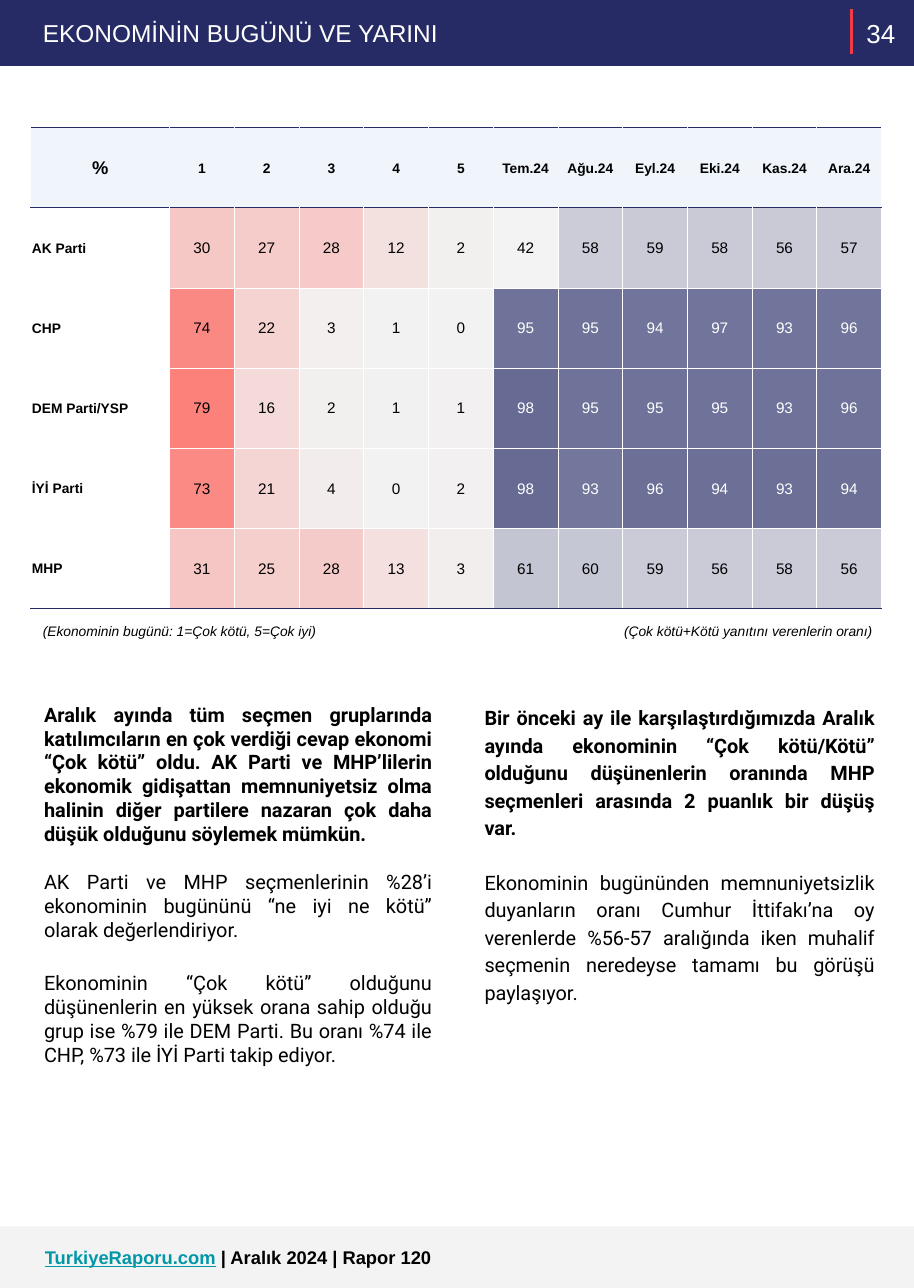
from dataclasses import dataclass
from typing import NamedTuple

from lxml import etree
from pptx import Presentation
from pptx.dml.color import RGBColor
from pptx.enum.shapes import MSO_CONNECTOR, MSO_SHAPE
from pptx.enum.text import MSO_ANCHOR, MSO_AUTO_SIZE, PP_ALIGN
from pptx.oxml.ns import qn
from pptx.util import Inches, Pt

LEFT, CENTER, RIGHT, JUSTIFY = PP_ALIGN.LEFT, PP_ALIGN.CENTER, PP_ALIGN.RIGHT, PP_ALIGN.JUSTIFY
TOP, MIDDLE = MSO_ANCHOR.TOP, MSO_ANCHOR.MIDDLE
NO_AUTOFIT = MSO_AUTO_SIZE.NONE
RECTANGLE, STRAIGHT = MSO_SHAPE.RECTANGLE, MSO_CONNECTOR.STRAIGHT
TWO_CONTENT_LAYOUT = 3
SLIDE_WIDTH, SLIDE_HEIGHT = 8.3, 11.7


@dataclass(frozen=True)
class Theme:
    sans: str = "Arial"
    body_font: str = "Roboto"
    navy: str = "262B65"
    red: str = "EF3B45"
    teal: str = "0097A7"
    white: str = "FFFFFF"
    black: str = "000000"
    footer_grey: str = "F3F3F3"
    header_tint: str = "EFF5FB"
    title_size: int = 16
    number_size: int = 17
    body_size: int = 13
    large_size: int = 12
    value_size: int = 10
    small_size: int = 9
    heat: tuple[str, ...] = (
        "F5C8C5 F5CCC9 F5CAC8 F3E1E0 F2EFEF F3F3F3 CBCCD8 C9CAD6 C9CAD6 C9CAD6 C9CAD6",
        "FB8983 F4D3D1 F2EFEE F2F2F2 F2F2F2 6F7299 6F7299 72759B 72759B 72759B 72759B",
        "FC817A F4DBDA F2EFEF F2F1F1 F2F0F0 676A93 6F7299 6F7299 6F7299 6F7299 6F7299",
        "FB8A84 F4D5D3 F2EDEC F2F2F2 F2F0F0 676A93 74779C 6C6F96 6C6F96 6C6F96 6C6F96",
        "F5C6C3 F5CFCC F5CBC9 F3E0DF F2EEEE C4C5D3 C6C7D5 CACBD7 CACBD7 CACBD7 CACBD7",
    )


THEME = Theme()


class Box(NamedTuple):
    left: float
    top: float
    width: float
    height: float

    def lengths(self):
        return [Inches(side) for side in self]


class PartyRow(NamedTuple):
    party: str
    values: tuple[int, ...]


class Passage(NamedTuple):
    text: str
    bold: bool = False
    space_before: float = 0


class Column(NamedTuple):
    box: Box
    line_spacing: float
    passages: tuple[Passage, ...]


class Note(NamedTuple):
    text: str
    left: float
    align: PP_ALIGN


HEADINGS = ("%", "1", "2", "3", "4", "5",
            "Tem.24", "Ağu.24", "Eyl.24", "Eki.24", "Kas.24", "Ara.24")
PARTIES = (
    PartyRow("AK Parti", (30, 27, 28, 12, 2, 42, 58, 59, 58, 56, 57)),
    PartyRow("CHP", (74, 22, 3, 1, 0, 95, 95, 94, 97, 93, 96)),
    PartyRow("DEM Parti/YSP", (79, 16, 2, 1, 1, 98, 95, 95, 95, 93, 96)),
    PartyRow("İYİ Parti", (73, 21, 4, 0, 2, 98, 93, 96, 94, 93, 94)),
    PartyRow("MHP", (31, 25, 28, 13, 3, 61, 60, 59, 56, 58, 56)),
)
TABLE_BOX = Box(0.28, 1.16, 7.73, 4.37)
PARTY_WIDTH = 1.26
WHITE_TEXT_FROM = 90

NOTES = (
    Note("(Çok kötü+Kötü yanıtını verenlerin oranı)", 3.41, RIGHT),
    Note("(Ekonominin bugünü: 1=Çok kötü, 5=Çok iyi)", 0.29, LEFT),
)
COLUMNS = (
    Column(Box(0.3, 6.28, 3.72, 4.24), 1.0, (
        Passage("Aralık ayında tüm seçmen gruplarında katılımcıların en çok verdiği cevap ekonomi "
                "“Çok kötü” oldu. AK Parti ve MHP’lilerin ekonomik gidişattan memnuniyetsiz olma "
                "halinin diğer partilere nazaran çok daha düşük olduğunu söylemek mümkün.", True),
        Passage("AK Parti ve MHP seçmenlerinin %28’i ekonominin bugününü “ne iyi ne kötü” "
                "olarak değerlendiriyor.", space_before=15.6),
        Passage("Ekonominin “Çok kötü” olduğunu düşünenlerin en yüksek orana sahip olduğu grup "
                "ise %79 ile DEM Parti. Bu oranı %74 ile CHP, %73 ile İYİ Parti takip ediyor.",
                space_before=19.5),
    )),
    Column(Box(4.3, 6.28, 3.74, 2.72), 1.15, (
        Passage("Bir önceki ay ile karşılaştırdığımızda Aralık ayında ekonominin “Çok kötü/Kötü” "
                "olduğunu düşünenlerin oranında MHP seçmenleri arasında 2 puanlık bir düşüş var.",
                True),
        Passage("Ekonominin bugününden memnuniyetsizlik duyanların oranı Cumhur İttifakı’na oy "
                "verenlerde %56-57 aralığında iken muhalif seçmenin neredeyse tamamı bu görüşü "
                "paylaşıyor.", space_before=18),
    )),
)


def write(paragraph, text: str, *, size: float, color: str = THEME.black, font: str = THEME.sans,
          bold: bool = False, italic: bool = False, underline: bool = False,
          align: PP_ALIGN = LEFT) -> None:
    """Append a formatted run to the paragraph."""
    paragraph.alignment = align
    run = paragraph.add_run()
    run.text = text
    run.font.name, run.font.size = font, Pt(size)
    run.font.bold, run.font.italic, run.font.underline = bold, italic, underline
    run.font.color.rgb = RGBColor.from_string(color)


def set_frame(shape, box: Box, anchor: MSO_ANCHOR = TOP):
    shape.left, shape.top, shape.width, shape.height = box.lengths()
    frame = shape.text_frame
    frame.word_wrap, frame.auto_size, frame.vertical_anchor = True, NO_AUTOFIT, anchor
    frame.margin_left = frame.margin_right = frame.margin_top = frame.margin_bottom = Inches(0.1)
    return frame


def add_text(slide, box: Box, anchor: MSO_ANCHOR = TOP):
    """Add a text box and return its first paragraph."""
    return set_frame(slide.shapes.add_textbox(*box.lengths()), box, anchor).paragraphs[0]


def add_band(slide, box: Box, color: str):
    band = slide.shapes.add_shape(RECTANGLE, *box.lengths())
    band.shadow.inherit = False
    band.fill.solid()
    band.fill.fore_color.rgb = RGBColor.from_string(color)
    band.line.fill.background()
    return band


def add_header(slide) -> None:
    title = slide.shapes.title
    title.element.addprevious(add_band(slide, Box(0, 0, SLIDE_WIDTH, 0.6), THEME.navy).element)
    write(set_frame(title, Box(0.29, 0.06, 6.45, 0.47)).paragraphs[0],
          "EKONOMİNİN BUGÜNÜ VE YARINI", size=THEME.title_size, color=THEME.white)
    divider = slide.shapes.add_connector(
        STRAIGHT, Inches(7.73), Inches(0.08), Inches(7.73), Inches(0.49))
    divider.line.color.rgb = RGBColor.from_string(THEME.red)
    divider.line.width = Pt(2.25)
    etree.SubElement(divider.element.spPr, qn("a:effectLst"))
    write(add_text(slide, Box(7.73, -0.15, 0.54, 0.9), MIDDLE), "34",
          size=THEME.number_size, color=THEME.white, align=CENTER)


def add_footer(slide) -> None:
    add_band(slide, Box(0, 11.14, SLIDE_WIDTH, SLIDE_HEIGHT - 11.14), THEME.footer_grey)
    imprint = add_text(slide, Box(0.31, 11.22, 6.96, 0.4))
    write(imprint, "TurkiyeRaporu.com", size=THEME.large_size, color=THEME.teal,
          bold=True, underline=True)
    write(imprint, " | Aralık 2024 | Rapor 120", size=THEME.large_size, bold=True)


def fill_column(placeholder, column: Column) -> None:
    frame = set_frame(placeholder, column.box)
    for index, passage in enumerate(column.passages):
        paragraph = frame.add_paragraph() if index else frame.paragraphs[0]
        properties = paragraph._p.get_or_add_pPr()
        properties.set("marL", "0")
        properties.set("indent", "0")
        etree.SubElement(properties, qn("a:buNone"))
        paragraph.line_spacing = column.line_spacing
        paragraph.space_before = Pt(passage.space_before)
        write(paragraph, passage.text, size=THEME.body_size, font=THEME.body_font,
              bold=passage.bold, align=JUSTIFY)


def set_borders(cell, row: int, col: int) -> None:
    """Rule the header and the table's foot in navy, and the rest in the background tone."""
    side = THEME.white if row else THEME.header_tint
    colors = {
        "L": side if col else THEME.white,
        "R": side if col < len(HEADINGS) - 1 else THEME.white,
        "T": THEME.navy if row <= 1 else THEME.white,
        "B": THEME.navy if row in (0, len(PARTIES)) else THEME.white,
    }
    for edge, color in colors.items():
        line = etree.SubElement(cell._tc.get_or_add_tcPr(), qn(f"a:ln{edge}"), w=str(Pt(0.5)))
        etree.SubElement(etree.SubElement(line, qn("a:solidFill")), qn("a:srgbClr"), val=color)


def format_cell(cell, row: int, col: int) -> None:
    cell.vertical_anchor = MIDDLE
    cell.margin_left = cell.margin_right = cell.margin_top = Inches(0.01)
    cell.margin_bottom = 0
    set_borders(cell, row, col)
    if row and not col:
        cell.fill.background()
    else:
        tint = THEME.heat[row - 1].split()[col - 1] if row else THEME.header_tint
        cell.fill.solid()
        cell.fill.fore_color.rgb = RGBColor.from_string(tint)
    paragraph = cell.text_frame.paragraphs[0]
    if not row:
        write(paragraph, HEADINGS[col], size=THEME.small_size if col else THEME.large_size,
              bold=True, align=CENTER)
    elif not col:
        write(paragraph, PARTIES[row - 1].party, size=THEME.small_size, bold=True)
    else:
        value = PARTIES[row - 1].values[col - 1]
        write(paragraph, str(value), size=THEME.value_size, align=CENTER,
              color=THEME.white if value > WHITE_TEXT_FROM else THEME.black)


def add_party_table(slide) -> None:
    rows, cols = len(PARTIES) + 1, len(HEADINGS)
    table = slide.shapes.add_table(rows, cols, *TABLE_BOX.lengths()).table
    table.first_row = table.horz_banding = False
    value_width = (TABLE_BOX.width - PARTY_WIDTH) / (cols - 1)
    for col, column in enumerate(table.columns):
        column.width = Inches(value_width if col else PARTY_WIDTH)
    for row in range(rows):
        for col in range(cols):
            format_cell(table.cell(row, col), row, col)


def main() -> None:
    deck = Presentation()
    deck.slide_width, deck.slide_height = Inches(SLIDE_WIDTH), Inches(SLIDE_HEIGHT)
    slide = deck.slides.add_slide(deck.slide_layouts[TWO_CONTENT_LAYOUT])
    add_footer(slide)
    add_header(slide)
    for note in NOTES:
        write(add_text(slide, Box(note.left, 5.56, 4.61, 0.35)), note.text,
              size=THEME.small_size, italic=True, align=note.align)
    for index, column in enumerate(COLUMNS, start=1):
        fill_column(slide.placeholders[index], column)
    add_party_table(slide)
    deck.save("out.pptx")


if __name__ == "__main__":
    main()
